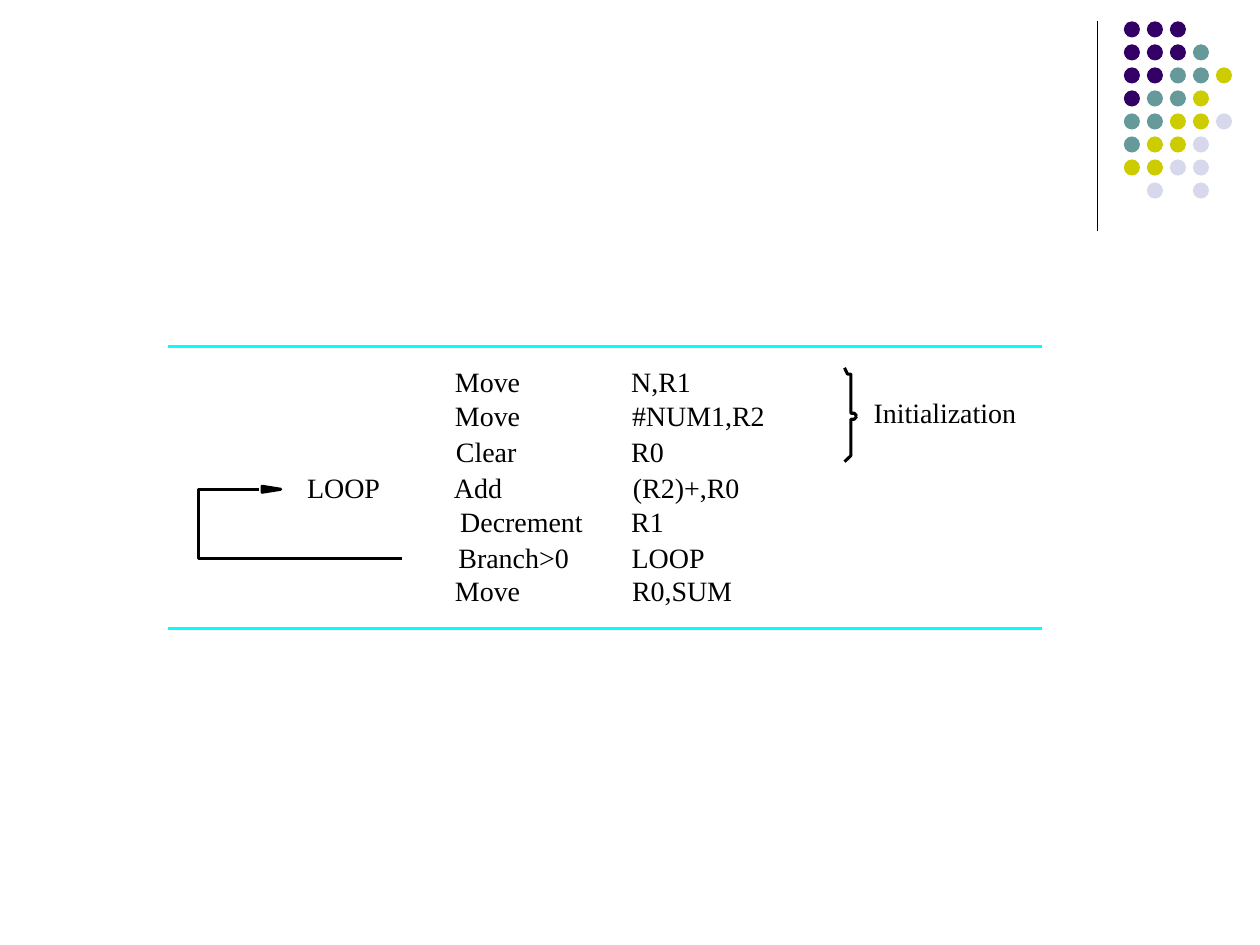
from lxml import etree
from pptx import Presentation
from pptx.dml.color import RGBColor
from pptx.enum import shapes, text
from pptx.oxml.ns import qn
from pptx.util import Pt

BLACK = RGBColor(0x00, 0x00, 0x00)
CYAN = RGBColor(0x00, 0xFF, 0xFF)
DOT_COLORS = {
    "P": RGBColor(0x33, 0x00, 0x66),
    "T": RGBColor(0x66, 0x99, 0x99),
    "Y": RGBColor(0xCC, 0xCC, 0x00),
    "L": RGBColor(0xD8, 0xD8, 0xEC),
}

prs = Presentation()
prs.slide_width, prs.slide_height = Pt(720), Pt(540)
s = prs.slides.add_slide(prs.slide_layouts[6])


def add_label(words, x, y, width):
    sp = s.shapes.add_textbox(Pt(x), Pt(y), Pt(width), Pt(19.4))
    tf = sp.text_frame
    tf.margin_left = tf.margin_right = tf.margin_top = tf.margin_bottom = 0
    tf.word_wrap = False
    tf.auto_size = text.MSO_AUTO_SIZE.SHAPE_TO_FIT_TEXT
    p = tf.paragraphs[0]
    p.text = words
    p.font.name = "Times New Roman"
    p.font.size = Pt(16)
    p.font.color.rgb = BLACK


# Corner decoration: a grid of dots
DOT_ROWS = ["PPP", "PPPT", "PPTTY", "PTTY", "TTYYL", "TYYL", "YYLL", " L L"]
DOT_PITCH = 13.15
for row, codes in enumerate(DOT_ROWS):
    for col, code in enumerate(codes):
        if code == " ":
            continue
        dot = s.shapes.add_shape(
            shapes.MSO_SHAPE.OVAL, Pt(642.2 + col * DOT_PITCH),
            Pt(12.2 + row * DOT_PITCH), Pt(9.2), Pt(9.2))
        dot.shadow.inherit = False
        dot.fill.solid()
        dot.fill.fore_color.rgb = DOT_COLORS[code]
        dot.line.fill.background()

# Corner rule, then the rules above and below the program
RULES = [
    (627.1, 12.2, 627.1, 131.8, BLACK, 0.75),
    (95.8, 198, 595.4, 198, CYAN, 1.75),
    (95.8, 359.3, 595.4, 359.3, CYAN, 1.75),
]
for x1, y1, x2, y2, color, weight in RULES:
    rule = s.shapes.add_connector(
        shapes.MSO_CONNECTOR.STRAIGHT, Pt(x1), Pt(y1), Pt(x2), Pt(y2))
    rule.line.color.rgb = color
    rule.line.width = Pt(weight)
    etree.SubElement(rule._element.spPr, qn("a:effectLst"))

# Program: top, then operation and operand, each with left and width
PROGRAM = [
    (208.3, ("Move", 260, 38), ("N,R1", 360.7, 35)),
    (227.5, ("Move", 260, 38), ("#NUM1,R2", 361.2, 77)),
    (248.4, ("Clear", 260.6, 36), ("R0", 360.7, 20)),
    (268.9, ("Add", 259.4, 29), ("(R2)+,R0", 361.7, 62)),
    (288.3, ("Decrement", 263, 71), ("R1", 360.7, 20)),
    (309, ("Branch>0", 262, 64), ("LOOP", 361, 43)),
    (328, ("Move", 260, 38), ("R0,SUM", 361.2, 58)),
]
for y, *parts in PROGRAM:
    for words, x, width in parts:
        add_label(words, x, y, width)
add_label("LOOP", 175.5, 268.9, 43)
add_label("Initialization", 499.2, 225.8, 83)

# Loop path, its arrowhead, and the two halves of the brace
loop_path = [(148.2, 279.6), (113.3, 279.6), (113.3, 319.3), (229.5, 319.3)]
arrowhead = [(149.8, 281.3), (160.4, 279.6), (149.8, 277.9)]
brace_top = [(482.6, 210.2), (484.3, 213.8), (486.2, 213.8),
             (486.2, 236.2), (488.2, 236.2), (489.6, 237.8)]
brace_bottom = [(482.6, 263.8), (486.2, 260.4), (486.2, 239.6),
                (488.2, 239.6), (489.6, 237.8)]
for points in (loop_path, arrowhead, brace_top, brace_bottom):
    start, *rest = [(Pt(x), Pt(y)) for x, y in points]
    is_head = points is arrowhead
    builder = s.shapes.build_freeform(*start)
    builder.add_line_segments(rest, close=is_head)
    sp = builder.convert_to_shape()
    sp.shadow.inherit = False
    sp.line.color.rgb = BLACK
    sp.line.width = Pt(1.75)
    if is_head:
        sp.fill.solid()
        sp.fill.fore_color.rgb = BLACK
    else:
        sp.fill.background()

prs.save("out.pptx")
